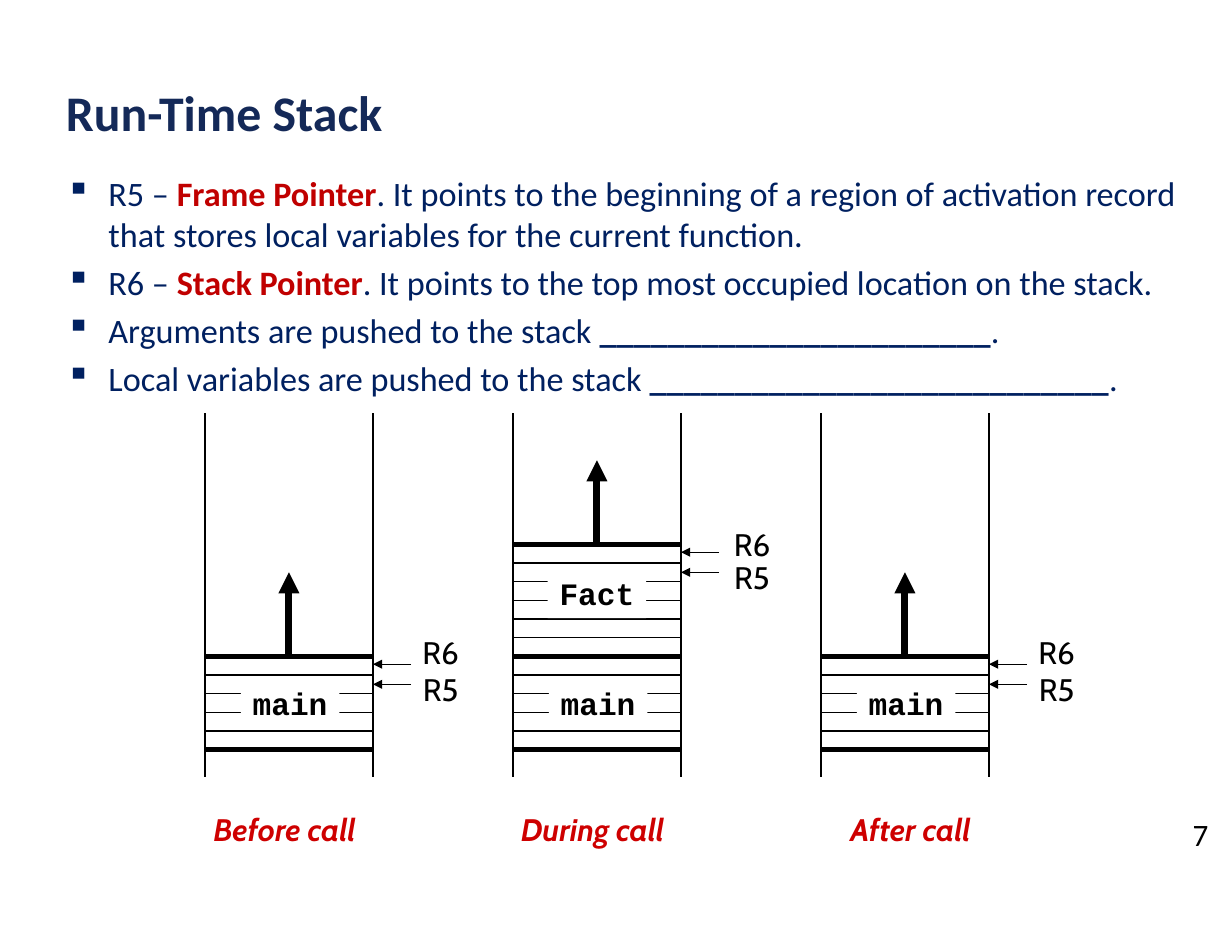
from dataclasses import dataclass

from lxml import etree
from pptx import Presentation
from pptx.dml.color import RGBColor
from pptx.enum import shapes, text
from pptx.oxml import ns
from pptx.util import Inches, Pt

INK = {"title": "142958", "body": "002060", "key": "C00000",
       "call": "CE0000", "line": "000000", "fill": "FFFFFF"}
TOP, END = 3.69, 6.94      # ends of the stack walls
WIDE, ROW = 1.5, 1 / 6     # stack width, height of one memory cell
BASE = 6.69                # bottom of the main frame


@dataclass
class Frame:
    name: str
    top: float
    rows: int
    left: float            # offset of the name plate from the wall
    drop: float            # offset of the name plate from the top


@dataclass
class Stack:
    title: str
    left: float
    mid: float             # centre of the caption
    frames: list[Frame]    # bottom frame first
    tag: float             # offset of register labels from the right wall
    regs: dict[str, float]  # register label -> top of its box


def color(name: str) -> RGBColor:
    return RGBColor.from_string(INK[name])


def style(para, size: float, face: str, ink: str, bold=False, slant=False) -> None:
    font = para.font
    font.size, font.name = Pt(size), face
    font.bold, font.italic = bold, slant
    font.color.rgb = color(ink)


def add_line(x1: float, y1: float, x2: float, y2: float,
             width=0.75, arrow=False) -> None:
    line = slide.shapes.add_connector(
        shapes.MSO_CONNECTOR.STRAIGHT,
        Inches(x1), Inches(y1), Inches(x2), Inches(y2))
    line.line.width = Pt(width)
    line.line.color.rgb = color("line")
    if arrow:
        etree.SubElement(line.line._get_or_add_ln(), ns.qn("a:tailEnd"),
                         type="triangle")
    etree.SubElement(line._element.spPr, ns.qn("a:effectLst"))


def add_box(x: float, y: float, w: float, h: float, wrap=True):
    box = slide.shapes.add_textbox(Inches(x), Inches(y), Inches(w), Inches(h))
    box.text_frame.word_wrap = wrap
    return box


def add_label(words: str, x: float, y: float, w: float, h: float,
              face="Cabin", ink="line", bold=False, slant=False):
    box = add_box(x, y, w, h, wrap=False)
    para = box.text_frame.paragraphs[0]
    para.text = words
    para.alignment = text.PP_ALIGN.CENTER
    style(para, 20, face, ink, bold, slant)
    return box


def add_frame(frame: Frame, left: float) -> None:
    for row in range(frame.rows):
        y = frame.top + row * ROW
        add_line(left, y, left + WIDE, y, 0.75 if row else 3)
    plate = add_label(frame.name, left + frame.left, frame.top + frame.drop,
                      0.88, 0.44, "Courier New", bold=True)
    plate.fill.solid()
    plate.fill.fore_color.rgb = color("fill")


def add_stack(stack: Stack) -> None:
    left, right = stack.left, stack.left + WIDE
    for x in (left, right):
        add_line(x, TOP, x, END)
    for frame in stack.frames:
        add_frame(frame, left)
    add_line(left, BASE, right, BASE, 3)

    # Growth arrow and register pointers
    top = stack.frames[-1].top
    mid = left + WIDE / 2
    add_line(mid, top, mid, top - 0.75, 4.5, arrow=True)
    for step, (reg, y) in enumerate(stack.regs.items()):
        tip = top + 0.07 + step * 0.18
        add_line(right + 0.34, tip, right, tip, arrow=True)
        add_label(reg, right + stack.tag, y, 0.53, 0.43)
    add_label(stack.title, stack.mid - 0.95, 7.19, 1.9, 0.5,
              ink="call", bold=True, slant=True)


def add_bullet(para, parts: list[tuple[str, str, bool]]) -> None:
    style(para, 22, "Calibri", "body")
    para.space_before = Pt(4.4)
    for words, ink, bold in parts:
        run = para.add_run()
        run.text = words
        run.font.bold = bold
        run.font.color.rgb = color(ink)
    props = para._p.get_or_add_pPr()
    props.set("marL", str(Inches(0.38)))
    props.set("indent", str(-Inches(0.38)))
    mark = etree.Element(ns.qn("a:buChar"), char="▪")
    props.find(ns.qn("a:defRPr")).addprevious(mark)


deck = Presentation()
deck.slide_width, deck.slide_height = Inches(11), Inches(8.5)
slide = deck.slides.add_slide(deck.slide_layouts[6])

# Title
head = add_box(0.49, 0.68, 10.11, 0.81).text_frame.paragraphs[0]
head.text = "Run-Time Stack"
style(head, 32, "Calibri", "title", bold=True)

# Bullets: lead, bold part, its colour, rest
POINTS = [
    ("R5 – ", "Frame Pointer", "key",
     ". It points to the beginning of a region of activation record "
     "that stores local variables for the current function."),
    ("R6 – ", "Stack Pointer", "key",
     ". It points to the top most occupied location on the stack."),
    ("Arguments are pushed to the stack ", "_" * 23, "body", "."),
    ("Local variables are pushed to the stack ", "_" * 27, "body", "."),
]
body = add_box(0.49, 1.49, 10.11, 2.2).text_frame
for i, (lead, key, ink, rest) in enumerate(POINTS):
    para = body.add_paragraph() if i else body.paragraphs[0]
    add_bullet(para, [(lead, "body", False), (key, ink, True),
                      (rest, "body", False)])

# Stacks
main = Frame("main", 5.86, 5, 0.32, 0.2)
fact = Frame("Fact", 4.86, 6, 0.31, 0.22)
idle = {"R6": 5.61, "R5": 5.94}
busy = {"R6": 4.64, "R5": 4.94}
for stack in (
    Stack("Before call", 1.83, 2.54, [main], 0.34, idle),
    Stack("During call", 4.58, 5.29, [main, fact], 0.37, busy),
    Stack("After call", 7.33, 8.13, [main], 0.34, idle),
):
    add_stack(stack)

# Page number
page = add_box(10.55, 7.23, 0.34, 0.44).text_frame.paragraphs[0]
page.text = "7"
style(page, 20, "Calibri", "line")

deck.save("out.pptx")
